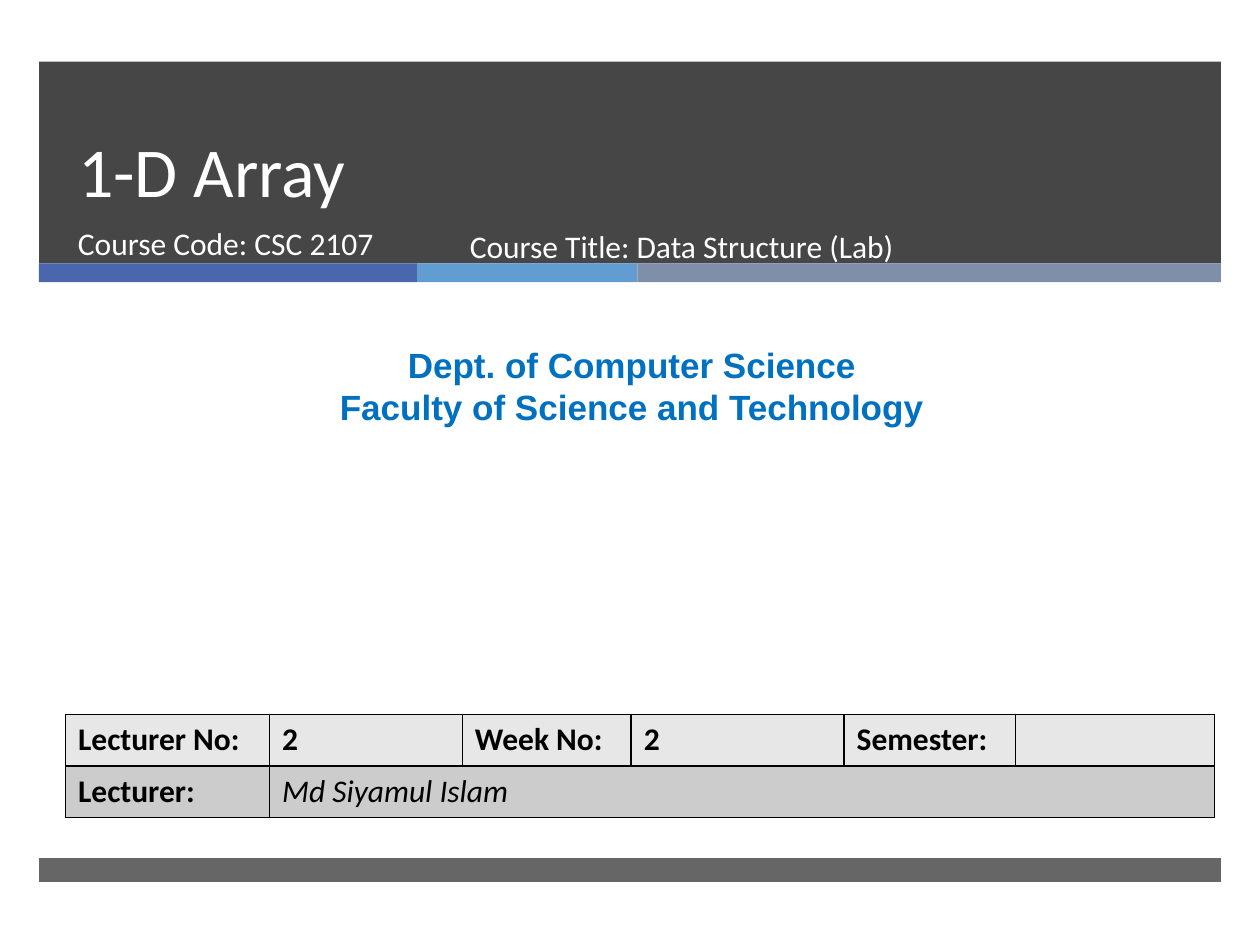
from dataclasses import dataclass

from lxml.etree import SubElement
from pptx import Presentation
from pptx.dml.color import RGBColor
from pptx.enum.shapes import MSO_SHAPE
from pptx.enum.text import MSO_ANCHOR, MSO_AUTO_SIZE, PP_ALIGN
from pptx.oxml.ns import qn
from pptx.util import Inches, Pt


@dataclass(frozen=True)
class Theme:
    dark: str = "262626"
    accents: tuple = ("4A66AC", "629DD1", "7F8FA9")
    white: str = "FFFFFF"
    black: str = "000000"
    blue: str = "0070C0"
    row_fills: tuple = ("E7E7E7", "CCCCCC")
    body_font: str = "Calibri"
    dept_font: str = "Arial"
    title_size: int = 40
    dept_size: int = 20
    body_size: int = 18


T = Theme()
BAND_LEFT, BAND_WIDTH = 0.31, 9.38
TEXT_LEFT = 0.52
STRIPE_WIDTHS = (3, 1.75, 4.63)
COL_WIDTHS = (1.62, 1.53, 1.34, 1.69, 1.36, 1.58)
ROW_HEIGHT = 0.41
CELLS = (
    ("Lecturer No:", "2", "Week No:", "2", "Semester:", ""),
    ("Lecturer:", "Md Siyamul Islam"),
)


def add_run(p, text, size, color, font=T.body_font, bold=False, italic=False):
    r = p.add_run()
    r.text = text
    r.font.size = Pt(size)
    r.font.name = font
    r.font.bold = bold
    r.font.italic = italic
    r.font.color.rgb = RGBColor.from_string(color)


def add_band(s, left, top, width, height, color, alpha=100):
    sp = s.shapes.add_shape(MSO_SHAPE.RECTANGLE, *map(Inches, (left, top, width, height)))
    sp.shadow.inherit = False
    sp.line.fill.background()
    sp.fill.solid()
    sp.fill.fore_color.rgb = RGBColor.from_string(color)
    if alpha < 100:
        clr = sp._element.spPr.find(qn("a:solidFill"))[0]
        SubElement(clr, qn("a:alpha"), val=str(alpha * 1000))


def set_title(s, text):
    title = s.shapes.title
    s.shapes._spTree.append(title._element)  # bring in front of the header band
    title.left, title.top, title.width, title.height = map(
        Inches, (TEXT_LEFT, 0.54, 8.54, 1.19))
    tf = title.text_frame
    tf.auto_size = MSO_AUTO_SIZE.NONE
    tf.vertical_anchor = MSO_ANCHOR.BOTTOM
    p = tf.paragraphs[0]
    p.alignment = PP_ALIGN.LEFT
    p.line_spacing = Pt(46)
    add_run(p, text, T.title_size, T.white)


def add_text(s, box, lines, size, color, align=PP_ALIGN.LEFT, **style):
    tf = s.shapes.add_textbox(*map(Inches, box)).text_frame
    tf.word_wrap = True
    for i, line in enumerate(lines):
        p = tf.add_paragraph() if i else tf.paragraphs[0]
        p.alignment = align
        add_run(p, line, size, color, **style)


def style_cell(cell, fill):
    tcPr = cell._tc.get_or_add_tcPr()
    for side in ("lnL", "lnR", "lnT", "lnB"):
        ln = SubElement(tcPr, qn(f"a:{side}"), w=str(Pt(1)))
        SubElement(SubElement(ln, qn("a:solidFill")), qn("a:srgbClr"), val=T.black)
    cell.fill.solid()
    cell.fill.fore_color.rgb = RGBColor.from_string(fill)


def add_info_table(s, left, top):
    n_rows, n_cols = len(CELLS), len(COL_WIDTHS)
    table = s.shapes.add_table(
        n_rows, n_cols, Inches(left), Inches(top),
        Inches(sum(COL_WIDTHS)), Inches(n_rows * ROW_HEIGHT)).table
    for col, width in zip(table.columns, COL_WIDTHS):
        col.width = Inches(width)
    for i, (row, fill) in enumerate(zip(CELLS, T.row_fills)):
        table.rows[i].height = Inches(ROW_HEIGHT)
        for j in range(n_cols):
            style_cell(table.cell(i, j), fill)
        for j, text in enumerate(row):
            if text:
                name = i == 1 and j == 1
                add_run(table.cell(i, j).text_frame.paragraphs[0], text,
                        T.body_size, T.black, bold=not name, italic=name)
    table.cell(1, 1).merge(table.cell(1, n_cols - 1))


def main():
    prs = Presentation()
    prs.slide_width, prs.slide_height = Inches(10), Inches(7.5)
    s = prs.slides.add_slide(prs.slide_layouts[5])

    # Header band, accent stripe and footer band
    add_band(s, BAND_LEFT, 0.49, BAND_WIDTH, 1.6, T.dark, alpha=85)
    left = BAND_LEFT
    for width, color in zip(STRIPE_WIDTHS, T.accents):
        add_band(s, left, 2.09, width, 0.15, color)
        left += width
    add_band(s, BAND_LEFT, 6.81, BAND_WIDTH, 0.19, T.dark, alpha=70)

    # Title and course details
    set_title(s, "1-D Array")
    add_text(s, (TEXT_LEFT, 1.73, 3.05, 0.53), ["Course Code: CSC 2107"],
             T.body_size, T.white)
    add_text(s, (3.63, 1.75, 4.55, 0.53), ["Course Title: Data Structure (Lab)"],
             T.body_size, T.white)

    # Department
    add_text(s, (0.08, 2.68, 9.87, 0.77),
             ["Dept. of Computer Science", "Faculty of Science and Technology"],
             T.dept_size, T.blue, PP_ALIGN.CENTER, font=T.dept_font, bold=True)

    # Lecture information
    add_info_table(s, TEXT_LEFT, 5.67)

    prs.save("out.pptx")


if __name__ == "__main__":
    main()
